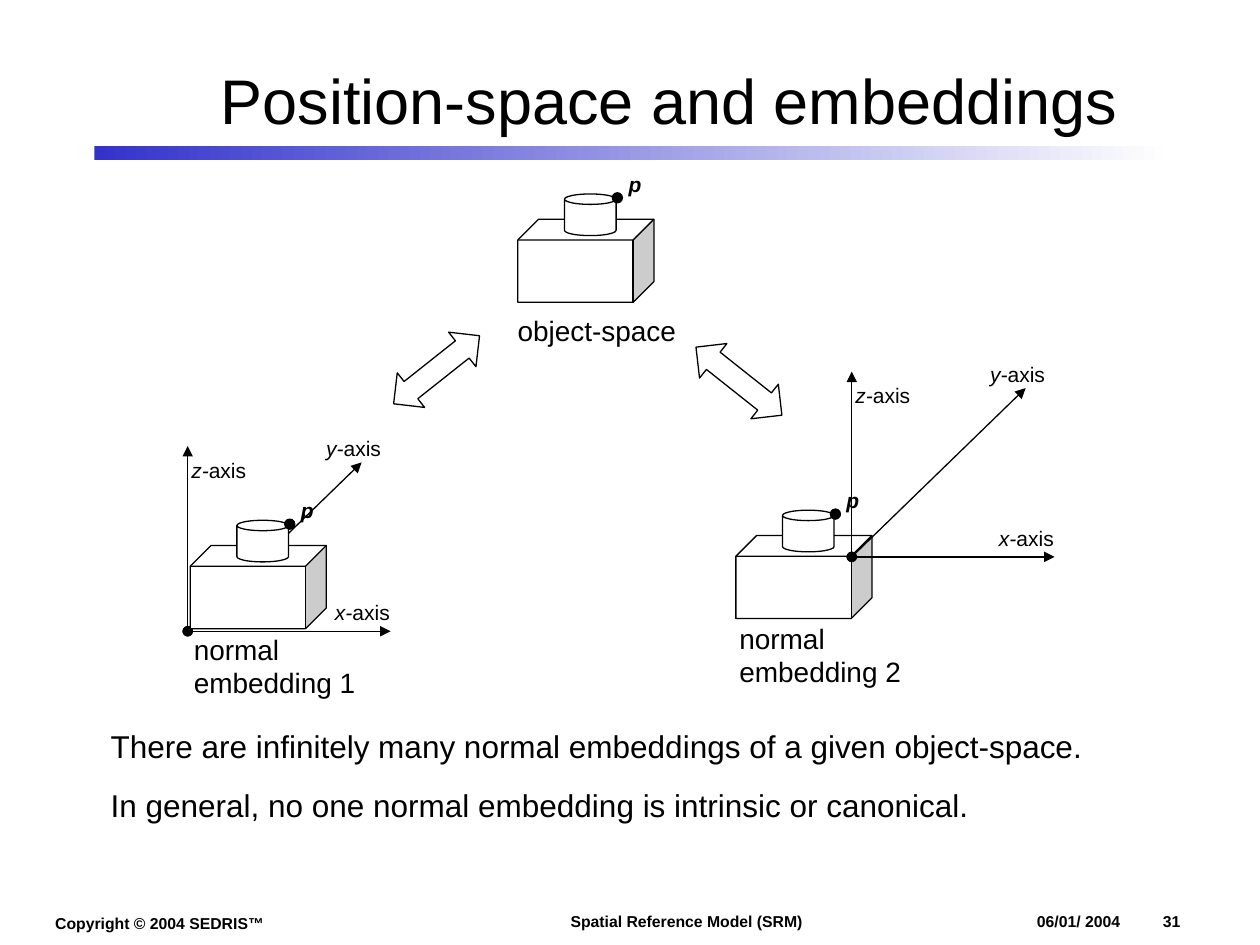
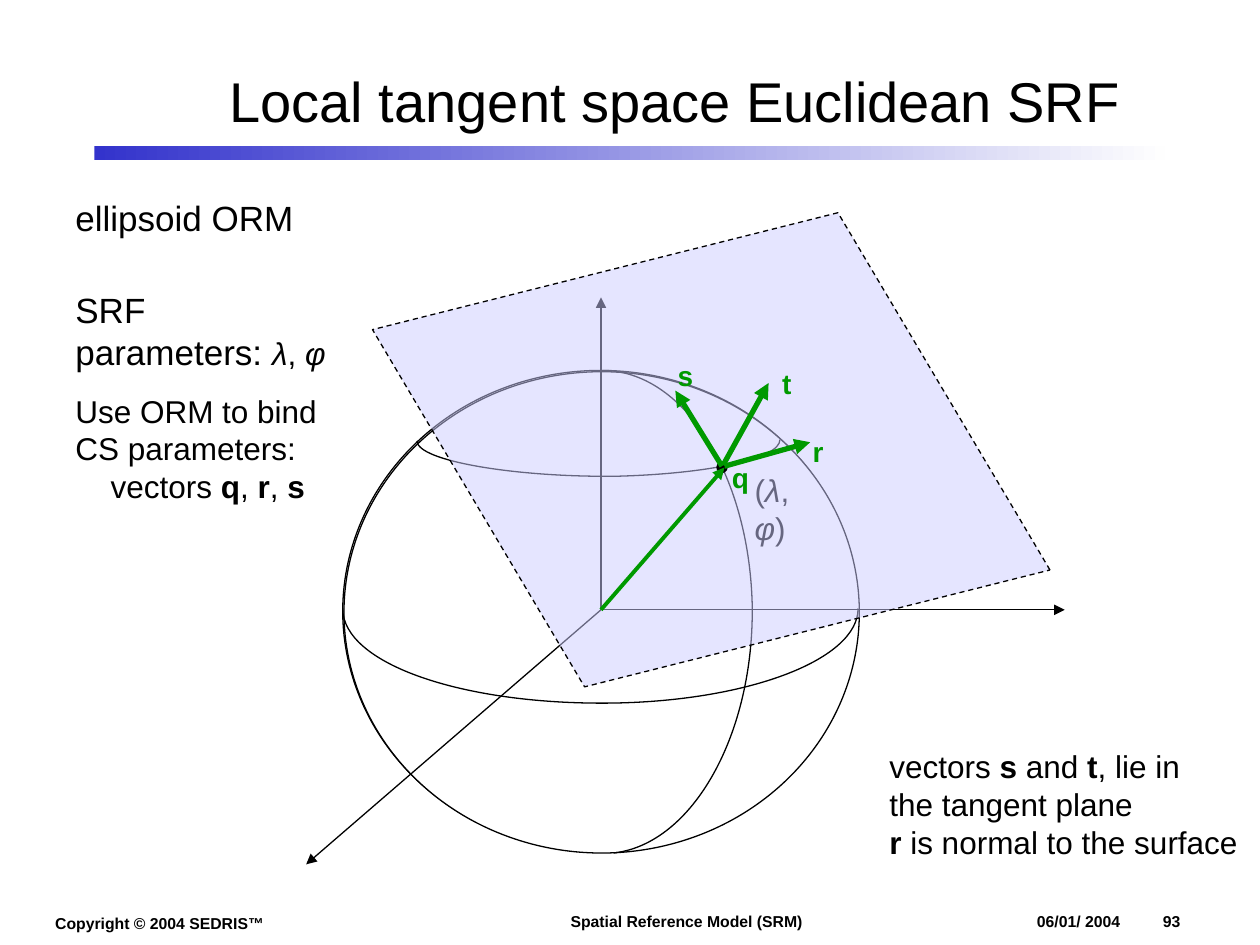
import dataclasses

import lxml.etree
import pptx
import pptx.dml.color
import pptx.enum.dml
import pptx.enum.shapes
import pptx.enum.text
import pptx.oxml.ns
import pptx.util

Inches = pptx.util.Inches
Pt = pptx.util.Pt
Kind = pptx.enum.shapes.MSO_SHAPE
Color = pptx.dml.color.RGBColor.from_string
qn = pptx.oxml.ns.qn


@dataclasses.dataclass(frozen=True)
class Theme:
    font: str = "Arial"
    ink: str = "000000"
    paper: str = "FFFFFF"
    band_start: str = "3333CC"
    band_end: str = "FEFEFE"
    plane: str = "CCCCFF"
    vector: str = "009900"
    footer: int = 9
    axis: int = 12
    caption: int = 16
    body: int = 18
    lead: int = 20
    hairline: float = 0.75


theme = Theme()


def add_text(page, at, paragraphs, size, color=theme.ink, after=0):
    box = page.shapes.add_textbox(*map(Inches, at))
    frame = box.text_frame
    frame.word_wrap = True
    for index, spans in enumerate(paragraphs):
        para = frame.paragraphs[0] if index == 0 else frame.add_paragraph()
        para.space_after = Pt(after)
        for text, style, *own_size in spans:
            span = para.add_run()
            span.text = text
            span.font.name = theme.font
            span.font.size = Pt(own_size[0] if own_size else size)
            span.font.bold = "b" in style
            span.font.italic = "i" in style
            span.font.color.rgb = Color(color)
    return box


def add_mark(page, kind, at, color, weight=theme.hairline, head="none"):
    places = map(Inches, at)
    if kind == "arrow":
        mark = page.shapes.add_connector(pptx.enum.shapes.MSO_CONNECTOR.STRAIGHT, *places)
        mark.line.color.rgb = Color(color)
    else:
        mark = page.shapes.add_shape(kind, *places)
        mark.fill.solid()
        mark.fill.fore_color.rgb = Color(color)
        mark.line.color.rgb = Color(theme.ink)
    mark.line.width = Pt(weight)
    properties = mark._element.spPr
    if kind == "arrow":
        outline = properties.find(qn("a:ln"))
        lxml.etree.SubElement(outline, qn("a:headEnd"), type=head)
        lxml.etree.SubElement(outline, qn("a:tailEnd"), type="triangle")
    lxml.etree.SubElement(properties, qn("a:effectLst"))
    return mark


deck = pptx.Presentation()
deck.slide_width = Inches(10)
deck.slide_height = Inches(7.5)

pages = []
for title, title_size, title_left, title_top, number in [
    ("Position-space and embeddings", 36, 1.16, 0.24, "31"),
    ("Local tangent space Euclidean SRF", 32, 1.21, 0.25, "93"),
]:
    page = deck.slides.add_slide(deck.slide_layouts[6])
    pages.append(page)
    add_text(page, (0.34, 7.2, 2.1, 0.25), [[("Copyright © 2004 SEDRIS™", "b")]], theme.footer)
    add_text(page, (4.43, 7.19, 2.2, 0.25), [[("Spatial Reference Model (SRM)", "b")]], theme.footer)

    box = add_text(page, (8.23, 7.24, 1.44, 0.15), [[("06/01/ 2004\t\t" + number, "b")]], theme.footer)
    frame = box.text_frame
    frame.margin_left = frame.margin_right = frame.margin_top = frame.margin_bottom = 0
    tabs = lxml.etree.SubElement(frame.paragraphs[0]._p.get_or_add_pPr(), qn("a:tabLst"))
    for stop, side in [(0.75, "r"), (1, "l")]:
        lxml.etree.SubElement(tabs, qn("a:tab"), pos=str(Inches(stop)), algn=side)

    band = add_mark(page, Kind.RECTANGLE, (0.75, 1.16, 8.5, 0.11), theme.band_start)
    band.line.fill.background()
    band.fill.gradient()
    band.fill.gradient_angle = 0
    for stop, color in zip(band.fill.gradient_stops, (theme.band_start, theme.band_end)):
        stop.color.rgb = Color(color)

    box = add_text(page, (title_left, title_top, 8.3, 1.09), [[(title, "")]], title_size)
    box.text_frame.vertical_anchor = pptx.enum.text.MSO_ANCHOR.MIDDLE
    box.text_frame.paragraphs[0].alignment = pptx.enum.text.PP_ALIGN.CENTER

embeddings, tangent = pages

for caption, x, y, caption_dx, caption_dy, origin, parts in [
    ("object-space", 4.11, 1.74, -0.1, 0.7, None, ["solid"]),
    ("normal embedding 1", 1.51, 4.33, -0.07, 0.64, (1.49, 5.01), ["axes", "solid"]),
    ("normal embedding 2", 5.84, 4.25, -0.07, 0.63, (6.76, 4.42), ["solid", "axes"]),
]:
    for part in parts:
        if part == "solid":
            add_mark(embeddings, Kind.CUBE, (x, y, 1.08, 0.66), theme.paper)
            add_mark(embeddings, Kind.CAN, (x + 0.37, y - 0.2, 0.41, 0.33), theme.paper)
            add_mark(embeddings, Kind.OVAL, (x + 0.75, y - 0.21, 0.08, 0.08), theme.ink)
            add_text(embeddings, (x + 0.78, y - 0.43, 0.34, 0.32), [[("p", "bi")]], theme.axis)
            add_text(embeddings, (x + caption_dx, y + caption_dy, 1.88, 0.32), [[(caption, "")]], theme.caption)
        else:
            left, top = origin
            for axis, dx, dy, label_dx, label_dy in [
                ("z-", 0, -1.47, -0.07, -1.43),
                ("x-", 1.61, 0, 1.07, -0.3),
                ("y-", 1.38, -1.34, 1, -1.6),
            ]:
                add_mark(embeddings, "arrow", (left, top, left + dx, top + dy), theme.ink, head="oval")
                add_text(embeddings, (left + label_dx, top + label_dy, 0.71, 0.32),
                         [[(axis, "i"), ("axis", "")]], theme.axis)

for left, top, turn in [(3.29, 2.5, 51.6), (5.69, 2.59, 308.4)]:
    link = add_mark(embeddings, Kind.UP_DOWN_ARROW, (left, top, 0.35, 0.87), theme.paper)
    link.rotation = turn

add_text(embeddings, (0.78, 5.72, 8.43, 0.87), [
    [("There are infinitely many normal embeddings of a given object-space.", "")],
    [("In general, no one normal embedding is intrinsic or canonical.", "")],
], theme.body, after=12)

for left, top in [(2.72, 2.94), (2.73, 2.95)]:
    add_mark(tangent, Kind.OVAL, (left, top, 4.09, 3.82), theme.paper)

add_text(tangent, (5.89, 3.69, 0.6, 0.7),
         [[("(", ""), ("λ", "i"), (", ", ""), ("φ", "i"), (")", "")]], theme.body)
add_text(tangent, (0.5, 2.24, 2.5, 0.77), [
    [("SRF", "")],
    [("parameters: ", ""), ("λ", "i", theme.body), (", ", "", theme.body), ("φ", "i", theme.body)],
], theme.lead)

meridian = [(4.78, 2.94), (5.42, 2.94), (5.94, 3.75), (5.97, 4.79), (5.99, 5.82), (5.5, 6.7), (4.87, 6.77)]
equator = [(6.81, 4.83), (6.81, 5.23), (5.96, 5.56), (4.88, 5.58), (3.68, 5.6), (2.72, 5.27), (2.72, 4.83)]
parallel = [(6.19, 3.49), (6.19, 3.64), (5.63, 3.76), (4.9, 3.78), (4.1, 3.79), (3.31, 3.66), (3.31, 3.5)]
for start, *controls in (meridian, equator, parallel):
    builder = tangent.shapes.build_freeform(*map(Inches, start))
    builder.add_line_segments([tuple(map(Inches, control)) for control in controls], close=False)
    curve = builder.convert_to_shape()
    segments = list(curve._element.iter(qn("a:lnTo")))
    for first in range(0, len(segments), 3):
        bend = lxml.etree.SubElement(segments[first].getparent(), qn("a:cubicBezTo"))
        for segment in segments[first:first + 3]:
            bend.append(segment[0])
            segment.getparent().remove(segment)
    curve.shadow.inherit = False
    curve.fill.background()
    curve.line.color.rgb = Color(theme.ink)
    curve.line.width = Pt(theme.hairline)

center = (4.77, 4.84)
for tip in [(8.45, 4.84), (4.77, 2.36), (2.43, 6.86)]:
    add_mark(tangent, "arrow", center + tip, theme.ink)

add_text(tangent, (0.5, 1.51, 2.2, 0.44), [[("ellipsoid ORM", "")]], theme.lead)
box = add_text(tangent, (0.5, 3.06, 2.4, 1), [
    [("Use ORM to bind", "")],
    [("CS parameters:", "")],
    [("vectors ", ""), ("q", "b"), (", ", ""), ("r", "b"), (", ", ""), ("s", "b")],
], theme.body)
box.text_frame.paragraphs[2]._p.get_or_add_pPr().set("marL", str(Inches(0.28)))

plane = add_mark(tangent, Kind.PARALLELOGRAM, (3.27, 1.99, 4.75, 3.16), theme.plane)
plane.adjustments[0] = 0.298
plane.rotation = 345.9
plane.line.dash_style = pptx.enum.dml.MSO_LINE.DASH
plane._element.spPr.find(qn("a:xfrm")).set("flipH", "1")
tint = plane._element.spPr.find(qn("a:solidFill")).find(qn("a:srgbClr"))
lxml.etree.SubElement(tint, qn("a:alpha"), val="50000")

box = add_text(tangent, (6.96, 5.88, 3.04, 1), [
    [("vectors ", ""), ("s", "b"), (" and ", ""), ("t", "b"), (", lie in", "")],
    [("the tangent plane", "")],
    [("r", "b"), (" is normal to the surface", "")],
], theme.body)
box.text_frame.margin_right = 0

add_mark(tangent, Kind.OVAL, (5.69, 3.67, 0.08, 0.08), theme.ink)
for name, label_at, ends, weight in [
    ("q", (5.71, 3.61, 0.35, 0.37), center + (5.75, 3.71), 2.25),
    ("r", (6.35, 3.4, 0.35, 0.37), (5.75, 3.7, 6.43, 3.51), 3),
    ("s", (5.28, 2.8, 0.35, 0.37), (5.73, 3.7, 5.36, 3.1), 3),
    ("t", (6.11, 2.86, 0.35, 0.37), (5.74, 3.69, 6.1, 3.04), 3),
]:
    add_mark(tangent, "arrow", ends, theme.vector, weight)
    add_text(tangent, label_at, [[(name, "b")]], theme.caption, theme.vector)

deck.save("out.pptx")
